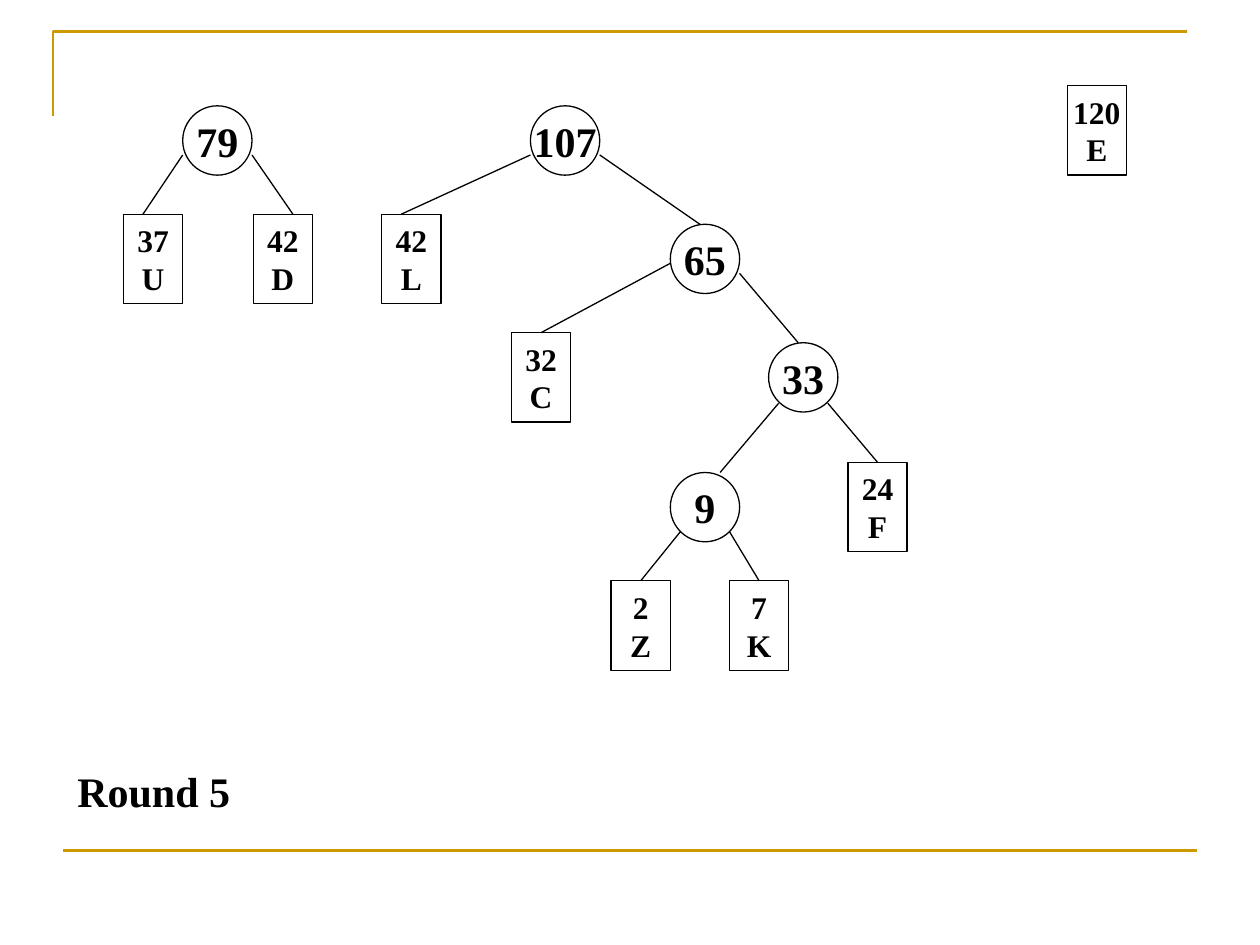
from pptx import Presentation
from pptx.dml.color import RGBColor
from pptx.enum.shapes import MSO_CONNECTOR, MSO_SHAPE
from pptx.enum.text import MSO_ANCHOR, MSO_AUTO_SIZE, PP_ALIGN
from pptx.oxml.ns import qn
from pptx.util import Inches, Pt
from lxml import etree

STRAIGHT = MSO_CONNECTOR.STRAIGHT
OVAL, RECTANGLE = MSO_SHAPE.OVAL, MSO_SHAPE.RECTANGLE
MIDDLE = MSO_ANCHOR.MIDDLE
CENTER = PP_ALIGN.CENTER
FIT_TEXT = MSO_AUTO_SIZE.SHAPE_TO_FIT_TEXT

COLORS = {"ink": "000000", "gold": "CC9900"}
FONT = "Times New Roman"
DIAMETER = 0.55
LEAF_WIDTH, LEAF_HEIGHT = 0.47, 0.71

LEAVES = {
    "Z": (2, 4.85, 4.61),
    "K": (7, 5.79, 4.61),
    "F": (24, 6.73, 3.67),
    "C": (32, 4.06, 2.64),
    "U": (37, 0.98, 1.7),
    "D": (42, 2.01, 1.7),
    "L": (42, 3.03, 1.7),
    "E": (120, 8.47, 0.68),
}
SUMS = {
    "9": (5.32, 3.75),
    "33": (6.1, 2.72),
    "65": (5.32, 1.78),
    "79": (1.45, 0.84),
    "107": (4.21, 0.84),
}
# parent, child, start inside the parent's box, end shift from the child's top centre
BRANCHES = [
    ("9", "Z", (0.08, 0.47), 0),
    ("9", "K", (0.47, 0.47), 0),
    ("33", "9", (0.08, 0.48), 0.12),
    ("33", "F", (0.47, 0.48), 0),
    ("65", "C", (0, 0.31), 0),
    ("65", "33", (0.55, 0.39), -0.04),
    ("79", "U", (0, 0.39), -0.08),
    ("79", "D", (0.55, 0.39), 0.08),
    ("107", "L", (0, 0.39), -0.08),
    ("107", "65", (0.55, 0.39), -0.04),
]


def color(name):
    return RGBColor.from_string(COLORS[name])


def style_line(shape, name, width):
    shape.line.color.rgb = color(name)
    shape.line.width = Pt(width)


def write(box, lines, size):
    frame = box.text_frame
    frame.text = "\n".join(lines)
    frame.word_wrap = False
    for para in frame.paragraphs:
        para.alignment = CENTER
        for span in para.runs:
            span.font.name = FONT
            span.font.size = Pt(size)
            span.font.bold = True
            span.font.color.rgb = color("ink")


def add_line(page, start, end, name, width):
    line = page.shapes.add_connector(STRAIGHT, *map(Inches, start + end))
    style_line(line, name, width)
    etree.SubElement(line._element.spPr, qn("a:effectLst"))


def add_node(page, kind, place, lines, size):
    node = page.shapes.add_shape(kind, *map(Inches, place))
    node.shadow.inherit = False
    node.fill.background()
    style_line(node, "ink", 0.75)
    write(node, lines, size)
    node.text_frame.vertical_anchor = MIDDLE


def top_center(name):
    if name in SUMS:
        left, top = SUMS[name]
        return left + DIAMETER / 2, top
    weight, left, top = LEAVES[name]
    return left + LEAF_WIDTH / 2, top


def add_frame(page):
    outline = page.shapes.build_freeform(Inches(0.42), Inches(0.92))
    corner = [(Inches(0.42), Inches(0.25)), (Inches(9.42), Inches(0.25))]
    outline.add_line_segments(corner, close=False)
    bracket = outline.convert_to_shape()
    bracket.shadow.inherit = False
    bracket.fill.background()
    style_line(bracket, "gold", 1.5)
    add_line(page, (0.5, 6.75), (9.5, 6.75), "gold", 1.5)


def main():
    deck = Presentation()
    deck.slide_width, deck.slide_height = Inches(10), Inches(7.5)
    page = deck.slides.add_slide(deck.slide_layouts[6])
    add_frame(page)
    for letter, (weight, left, top) in LEAVES.items():
        place = (left, top, LEAF_WIDTH, LEAF_HEIGHT)
        add_node(page, RECTANGLE, place, [str(weight), letter], 18)
    for total, (left, top) in SUMS.items():
        add_node(page, OVAL, (left, top, DIAMETER, DIAMETER), [total], 24)
    for parent, child, (across, down), shift in BRANCHES:
        left, top = SUMS[parent]
        center, child_top = top_center(child)
        add_line(page, (left + across, top + down), (center + shift, child_top), "ink", 0.75)
    caption = page.shapes.add_textbox(Inches(0.51), Inches(6.03), Inches(1.42), Inches(0.5))
    write(caption, ["Round 5"], 24)
    caption.text_frame.auto_size = FIT_TEXT
    deck.save("out.pptx")


if __name__ == "__main__":
    main()
